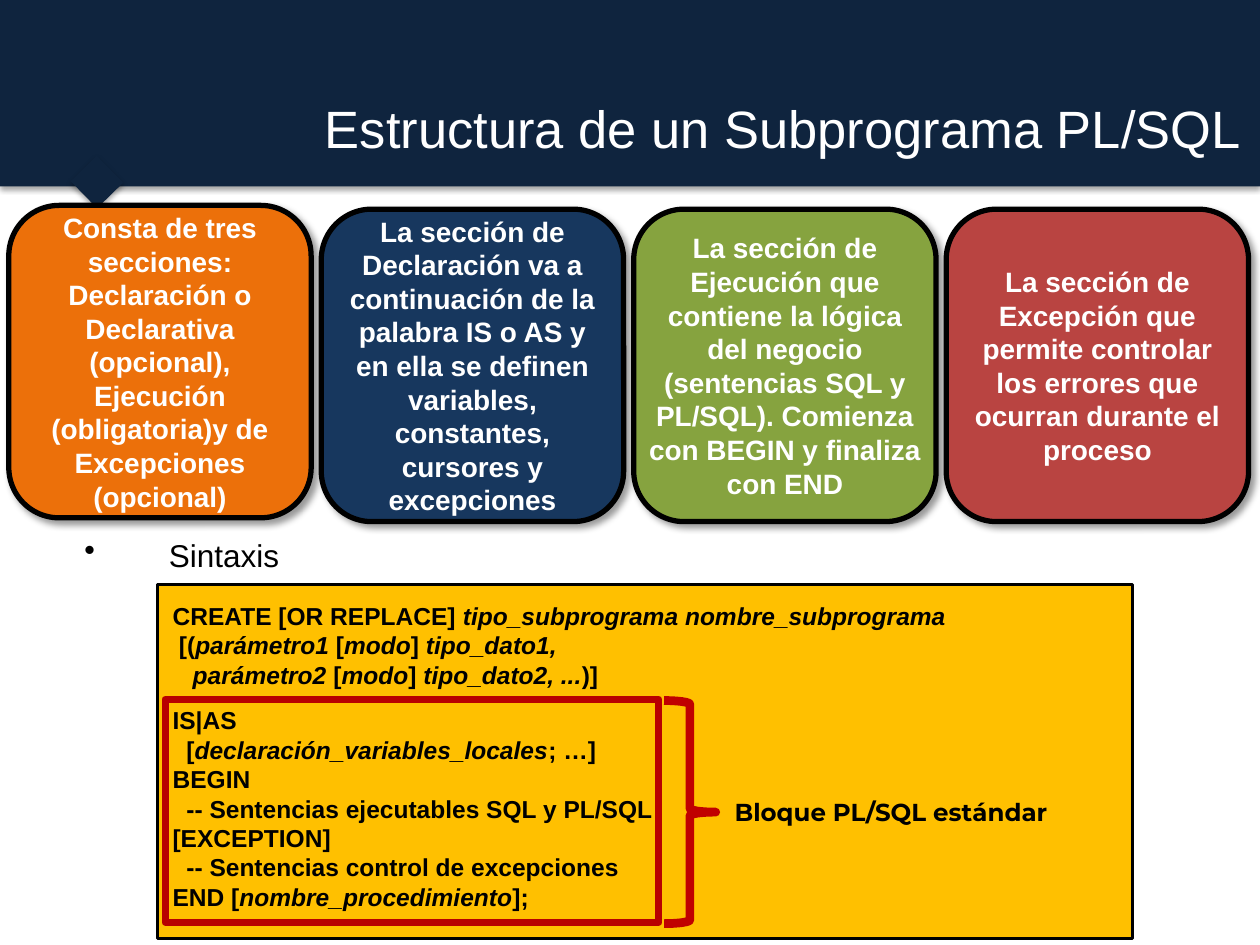
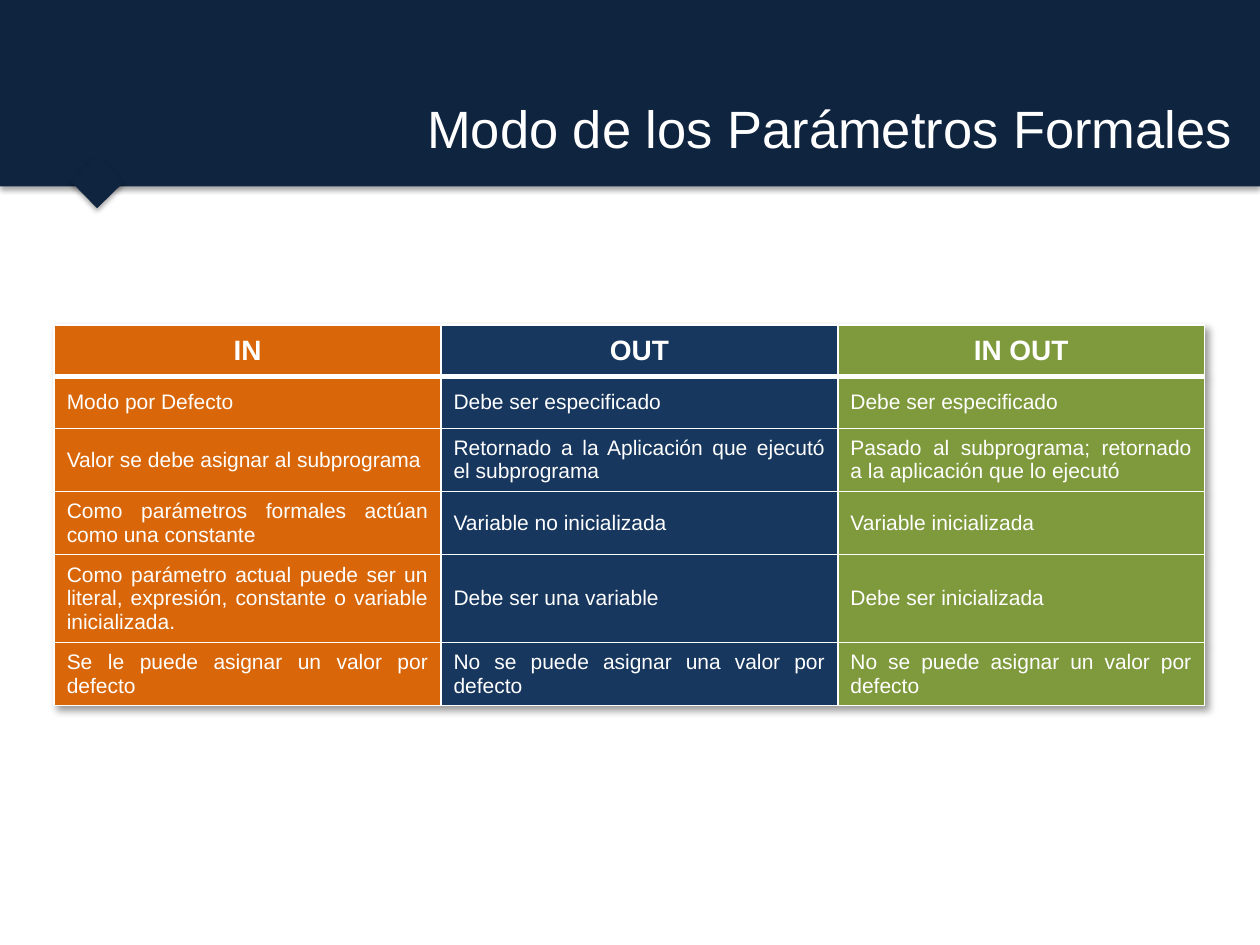
from pptx import Presentation
from pptx.dml.color import RGBColor
from pptx.enum.shapes import MSO_SHAPE
from pptx.enum.text import MSO_ANCHOR, PP_ALIGN
from pptx.oxml import parse_xml
from pptx.oxml.ns import nsdecls
from pptx.util import Inches, Pt

RECT, ROUND, BRACE = MSO_SHAPE.RECTANGLE, MSO_SHAPE.ROUNDED_RECTANGLE, MSO_SHAPE.LEFT_BRACE
LEFT, CENTER, RIGHT, FULL = PP_ALIGN.LEFT, PP_ALIGN.CENTER, PP_ALIGN.RIGHT, PP_ALIGN.JUSTIFY
TOP, MIDDLE = MSO_ANCHOR.TOP, MSO_ANCHOR.MIDDLE

THEME = {
    "navy": "0F243E", "white": "FFFFFF", "black": "000000",
    "orange": "EC700A", "blue": "17375E", "green": "86A33F", "red": "B94441",
    "gold": "FFC000", "frame": "B80000", "brace": "C00000",
    "cols": ["D96709", "17375E", "7F9A3C"],
    "title": {"name": "Arial", "size": Pt(30)},
    "card": {"name": "Arial", "size": Pt(16), "bold": True},
    "bullet": {"name": "Arial", "size": Pt(18)},
    "code": {"name": "Arial", "size": Pt(14), "bold": True},
    "label": {"name": "Montserrat", "size": Pt(14), "bold": True},
    "cell": {"name": "Arial", "size": Pt(12)},
}
# Shadows: opacity %, blur pt, distance pt, angle
BAND_SHADE, CARD_SHADE = (35, 3.1, 1.8, 90), (40, 4, 3, 45)
SHADE = ('<a:outerShdw {ns} blurRad="{blur}" dist="{dist}" dir="{turn}" algn="tl" rotWithShape="0">'
         '<a:srgbClr val="000000"><a:alpha val="{alpha}"/></a:srgbClr></a:outerShdw>')


def draw(slide, kind, at, fill=None, line=None, shade=None):
    """Add a shape; line is (colour, points)."""
    shape = slide.shapes.add_shape(kind, *map(Inches, at))
    shape.shadow.inherit = False
    if fill:
        shape.fill.solid()
        shape.fill.fore_color.rgb = RGBColor.from_string(fill)
    else:
        shape.fill.background()
    if line:
        shape.line.color.rgb = RGBColor.from_string(line[0])
        shape.line.width = Pt(line[1])
    else:
        shape.line.fill.background()
    if shade:
        alpha, blur, dist, turn = shade
        shape._element.spPr.find("{*}effectLst").append(parse_xml(SHADE.format(
            ns=nsdecls("a"), blur=Pt(blur), dist=Pt(dist), turn=turn * 60000, alpha=alpha * 1000)))
    return shape


def write(frame, lines, style, color, align=LEFT, anchor=MIDDLE, pad=(0, 0, 0, 0)):
    """Fill a text frame; parts between asterisks are italic."""
    frame.word_wrap = True
    frame.vertical_anchor = anchor
    for side, gap in zip(("left", "top", "right", "bottom"), pad):
        setattr(frame, "margin_" + side, Inches(gap))
    for num, line in enumerate(lines):
        para = frame.add_paragraph() if num else frame.paragraphs[0]
        para.alignment = align
        for odd, part in enumerate(line.split("*")):
            if part:
                run = para.add_run()
                run.text = part
                for key, value in {**style, "italic": odd % 2 == 1}.items():
                    setattr(run.font, key, value)
                run.font.color.rgb = RGBColor.from_string(color)


deck = Presentation()
deck.slide_width, deck.slide_height = Inches(10), Inches(7.5)

# Shared band, marker and title
TITLES = [("Estructura de un Subprograma PL/SQL", (0.35, 0.21, 9.6, 1.6)),
          ("Modo de los Parámetros Formales", (0.51, 0.21, 9.37, 1.6))]
slides = []
for title, at in TITLES:
    slide = deck.slides.add_slide(deck.slide_layouts[6])
    draw(slide, RECT, (0, 0, 10, 1.48), THEME["navy"], shade=BAND_SHADE)
    mark = draw(slide, RECT, (0.62, 1.3, 0.3, 0.29), THEME["navy"], shade=BAND_SHADE)
    mark.rotation = 45.6
    box = slide.shapes.add_textbox(*map(Inches, at))
    write(box.text_frame, [title], THEME["title"], THEME["white"], RIGHT, pad=(0.1, 0.05, 0.1, 0.05))
    slides.append(slide)
first, second = slides

# Slide 1: section cards
CARDS = [
    ("orange", 1.63, 0, "Consta de tres secciones: Declaración o Declarativa (opcional), "
     "Ejecución (obligatoria)y de Excepciones (opcional)"),
    ("blue", 1.66, 0.1, "La sección de Declaración va a continuación de la palabra IS o AS y "
     "en ella se definen variables, constantes, cursores y excepciones"),
    ("green", 1.66, 0, "La sección de Ejecución que contiene la lógica del negocio "
     "(sentencias SQL y PL/SQL). Comienza con BEGIN y finaliza con END"),
    ("red", 1.66, 0, "La sección de Excepción que permite controlar los errores que "
     "ocurran durante el proceso"),
]
for num, (color, top, pad, text) in enumerate(CARDS):
    card = draw(first, ROUND, (0.07 + 2.48 * num, top, 2.4, 2.48), THEME[color],
                (THEME["black"], 3), CARD_SHADE)
    write(card.text_frame, [text], THEME["card"], THEME["white"], CENTER,
          pad=(pad, pad / 2, pad, pad / 2))

# Slide 1: bullet
point = first.shapes.add_textbox(*map(Inches, (0.67, 4.24, 2.4, 0.32)))
write(point.text_frame, ["Sintaxis"], THEME["bullet"], THEME["black"])
props = point.text_frame.paragraphs[0]._p.get_or_add_pPr()
props.set("marL", str(Inches(0.67)))
props.set("indent", str(-Inches(0.67)))
props.append(parse_xml('<a:buChar %s char="•"/>' % nsdecls("a")))

# Slide 1: syntax, each line with its indent
CODE = [
    (0, "CREATE [OR REPLACE] *tipo_subprograma nombre_subprograma*"),
    (0.05, "[(*parámetro1 *[*modo*]* tipo_dato1,*"),
    (0.16, "*parámetro2 *[*modo*]* tipo_dato2, ...*)]"),
    (0, "IS|AS"),
    (0.11, "[*declaración_variables_locales*; …]"),
    (0, "BEGIN"),
    (0.11, "-- Sentencias ejecutables SQL y PL/SQL"),
    (0, "[EXCEPTION]"),
    (0.11, "-- Sentencias control de excepciones"),
    (0, "END [*nombre_procedimiento*];"),
]
panel = draw(first, RECT, (1.25, 4.64, 7.74, 2.81), THEME["gold"], (THEME["black"], 1.75))
write(panel.text_frame, [text for _, text in CODE], THEME["code"], THEME["black"],
      anchor=TOP, pad=(0.12, 0.13, 0, 0))
paras = panel.text_frame.paragraphs
for para, (dent, _) in zip(paras, CODE):
    para._p.get_or_add_pPr().set("marL", str(Inches(dent)))
paras[3].space_before = Pt(9.2)

# Slide 1: standard block frame, brace and label
draw(first, RECT, (1.31, 5.55, 3.92, 1.77), line=(THEME["frame"], 4))
brace = draw(first, BRACE, (5.27, 5.56, 0.41, 1.77), line=(THEME["brace"], 5))
brace.rotation = 180
brace.adjustments[0], brace.adjustments[1] = 0.07, 0.5
label = first.shapes.add_textbox(*map(Inches, (5.83, 6.29, 3, 0.3)))
write(label.text_frame, ["Bloque PL/SQL estándar"], THEME["label"], THEME["black"])

# Slide 2: table of modes
ROWS = [
    ("IN", "OUT", "IN OUT"),
    ("Modo por Defecto", "Debe ser especificado", "Debe ser especificado"),
    ("Valor se debe asignar al subprograma",
     "Retornado a la Aplicación que ejecutó el subprograma",
     "Pasado al subprograma; retornado a la aplicación que lo ejecutó"),
    ("Como parámetros formales actúan como una constante",
     "Variable no inicializada", "Variable inicializada"),
    ("Como parámetro actual puede ser un literal, expresión, constante o variable inicializada.",
     "Debe ser una variable", "Debe ser inicializada"),
    ("Se le puede asignar un valor por defecto",
     "No se puede asignar una valor por defecto",
     "No se puede asignar un valor por defecto"),
]
WIDTHS = [3.07, 3.15, 2.91]
HEIGHTS = [0.41, 0.41, 0.48, 0.48, 0.66, 0.48]
EDGE = ('<a:ln{side} {ns} w="{width}"><a:solidFill><a:srgbClr val="{color}"/></a:solidFill>'
        '</a:ln{side}>')
table = second.shapes.add_table(len(ROWS), len(WIDTHS), *map(
    Inches, (0.43, 2.58, sum(WIDTHS), sum(HEIGHTS)))).table
for col, width in zip(table.columns, WIDTHS):
    col.width = Inches(width)
for row, height in zip(table.rows, HEIGHTS):
    row.height = Inches(height)
for r, texts in enumerate(ROWS):
    for c, text in enumerate(texts):
        cell = table.cell(r, c)
        cell.fill.solid()
        cell.fill.fore_color.rgb = RGBColor.from_string(THEME["cols"][c])
        cell.vertical_anchor = MIDDLE
        style, align = (THEME["cell"], FULL) if r else (THEME["card"], CENTER)
        write(cell.text_frame, [text], style, THEME["white"], align)
        for side, gap in (("left", 0.1), ("top", 0.05), ("right", 0.1), ("bottom", 0.05)):
            setattr(cell, "margin_" + side, Inches(gap))
        for num, side in enumerate("LRTB"):
            thick = 3 if (r, side) in ((0, "B"), (1, "T")) else 1
            cell._tc.get_or_add_tcPr().insert(num, parse_xml(EDGE.format(
                side=side, ns=nsdecls("a"), width=Pt(thick), color=THEME["white"])))

# Slide 2: table shadow
alpha, blur, dist, turn = CARD_SHADE
glow = parse_xml("<a:effectLst %s/>" % nsdecls("a"))
glow.append(parse_xml(SHADE.format(ns=nsdecls("a"), blur=Pt(blur), dist=Pt(dist),
                                   turn=turn * 60000, alpha=alpha * 1000)))
table._tbl.tblPr.insert(0, glow)

deck.save("out.pptx")
